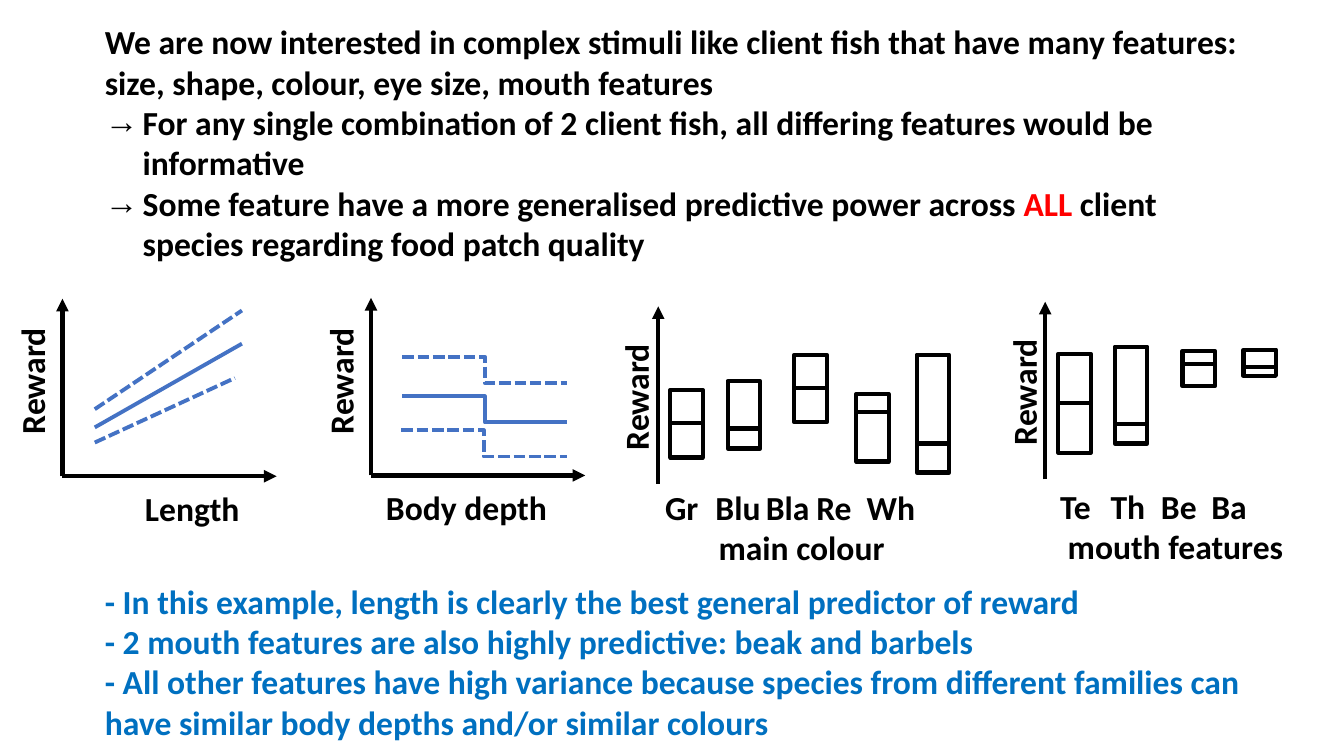
from lxml.etree import SubElement as Sub
from pptx import Presentation
from pptx.dml.color import RGBColor
from pptx.enum.dml import MSO_LINE as Dash
from pptx.enum.shapes import MSO_CONNECTOR as Conn, MSO_SHAPE as Shape
from pptx.enum.text import MSO_ANCHOR as Anchor, MSO_AUTO_SIZE as Fit
from pptx.oxml.ns import qn
from pptx.util import Pt

BLACK, RED, BLUE, TREND = "000000", "FF0000", "0070C0", "4472C4"
FONT = {"name": "Calibri", "size": Pt(24), "bold": True}
PARA = {"space_before": Pt(0), "space_after": Pt(0), "line_spacing": 1.0}
FRAME = {"word_wrap": True, "auto_size": Fit.SHAPE_TO_FIT_TEXT,
         "vertical_anchor": Anchor.TOP}
BOX_W = 23.2


def style(item, values):
    for key, value in values.items():
        setattr(item, key, value)


def paint(color, tone):
    color.rgb = RGBColor.from_string(tone)


def place(shape, left, top, width, height):
    style(shape, {"left": Pt(left), "top": Pt(top),
                  "width": Pt(width), "height": Pt(height)})


def write(para, runs, indent=0, hang=0, bullet=None, tabs=()):
    style(para, PARA)
    for text, tone in runs:
        run = para.add_run()
        run.text = text
        style(run.font, FONT)
        paint(run.font.color, tone)
    props = para._p.get_or_add_pPr()
    props.set("marL", str(Pt(indent)))
    props.set("indent", str(Pt(-hang)))
    if bullet:
        Sub(props, qn("a:buChar"), char=bullet)
    else:
        Sub(props, qn("a:buNone"))
    if tabs:
        stops = Sub(props, qn("a:tabLst"))
        for stop in tabs:
            Sub(stops, qn("a:tab"), pos=str(Pt(stop)), algn="l")


def fill(shape, paras):
    frame = shape.text_frame
    style(frame, FRAME)
    for i, (runs, form) in enumerate(paras):
        para = frame.add_paragraph() if i else frame.paragraphs[0]
        write(para, runs, **form)


def label(slide, area, paras, turn=0):
    shape = slide.shapes.add_textbox(*map(Pt, area))
    fill(shape, paras)
    shape.rotation = turn


def link(slide, ends, tone=BLACK, width=3, kind=Conn.STRAIGHT,
         dash=None, arrow=False):
    line = slide.shapes.add_connector(kind, *map(Pt, ends))
    paint(line.line.color, tone)
    line.line.width = Pt(width)
    if dash:
        line.line.dash_style = dash
    if arrow:
        Sub(line.get_or_add_ln(), qn("a:tailEnd"), type="triangle")
    Sub(line._element.spPr, qn("a:effectLst"))


def axes(slide, x, y, text_x, text_y, across=0):
    if across:
        link(slide, (x, y, x + across, y), arrow=True)
    link(slide, (x, y, x, y - 126.8), arrow=True)
    label(slide, (text_x, text_y, 95.8, 36), [([("Reward", BLACK)], {})], 270)


def box(slide, left, top, height, middle):
    shape = slide.shapes.add_shape(
        Shape.RECTANGLE, Pt(left), Pt(top), Pt(BOX_W), Pt(height))
    shape.shadow.inherit = False
    shape.fill.background()
    paint(shape.line.color, BLACK)
    shape.line.width = Pt(3)
    link(slide, (left, middle, left + BOX_W, middle))


def groups(slide, area, names, tabs, title, indent, boxes):
    label(slide, area, [
        ([("\t".join(names), BLACK)], {"tabs": tabs}),
        ([(title, BLACK)], {"indent": indent})])
    for values in boxes:
        box(slide, *values)


def main():
    deck = Presentation()
    deck.slide_width, deck.slide_height = Pt(960), Pt(540)
    slide = deck.slides.add_slide(deck.slide_layouts[3])
    title, intro, notes = slide.placeholders
    title.element.getparent().remove(title.element)

    point = {"indent": 27, "hang": 27, "bullet": "→"}
    place(intro, 67.7, 11.5, 840, 181.4)
    fill(intro, [
        ([("We are now interested in complex stimuli like client fish that "
           "have many features: size, shape, colour, eye size, mouth features",
           BLACK)], {}),
        ([("For any single combination of 2 client fish, all differing "
           "features would be informative", BLACK)], point),
        ([("Some feature have a more generalised predictive power across ",
           BLACK), ("ALL", RED),
          (" client species regarding food patch quality", BLACK)], point)])

    axes(slide, 44.6, 340.2, -25.2, 251.3, 153)
    label(slide, (96.5, 344.9, 93.6, 36), [([("Length", BLACK)], {})])
    for ends, dash in [((67.7, 305.3, 172.8, 245.5), None),
                       ((67.7, 316.1, 167.8, 270), Dash.SQUARE_DOT),
                       ((67.7, 292.3, 172.8, 221.8), Dash.SQUARE_DOT)]:
        link(slide, ends, TREND, 2.75, dash=dash)

    axes(slide, 265, 339.6, 195.1, 251.3, 153)
    label(slide, (268.6, 344.2, 147.6, 36), [([("Body depth", BLACK)], {})])
    for x, y, dash in [(287.3, 283, None),
                       (286.6, 307.4, Dash.SQUARE_DOT),
                       (287.3, 254.9, Dash.SQUARE_DOT)]:
        link(slide, (x, y, x + 118.1, y + 18.7), TREND, 2.75,
             Conn.ELBOW, dash)

    axes(slide, 470.2, 345.6, 406.1, 262.8)
    groups(slide, (468, 344.2, 227.5, 65.5),
           ["Gr", "Blu", "Bla", "Re", "Wh"], [40.7, 89.3, 136.4, 177.9],
           "main colour", 38.2,
           [(478.8, 278.6, 48.2, 302.4), (519.8, 272.2, 48.2, 306),
            (567.4, 253.4, 48.2, 277.2), (611.6, 281.5, 48.2, 294.5),
            (654.8, 253.4, 84.2, 316.8)])

    axes(slide, 746.6, 342.4, 683.3, 259.2)
    groups(slide, (750.2, 343.4, 182.2, 65.5),
           ["Te", "Th", "Be", "Ba"], [38.2, 85.2, 132.5],
           "mouth features", 5.4,
           [(756, 252.7, 70.6, 288), (796.3, 247.7, 69.1, 303.1),
            (844.6, 250.6, 25.2, 259.9), (888.2, 249.8, 18.7, 262.1)])

    place(notes, 67.7, 411.1, 840, 123.8)
    fill(notes, [([(text, BLUE)], {}) for text in (
        "- In this example, length is clearly the best general predictor "
        "of reward",
        "- 2 mouth features are also highly predictive: beak and barbels",
        "- All other features have high variance because species from "
        "different families can have similar body depths and/or similar "
        "colours")])
    deck.save("out.pptx")


if __name__ == "__main__":
    main()
